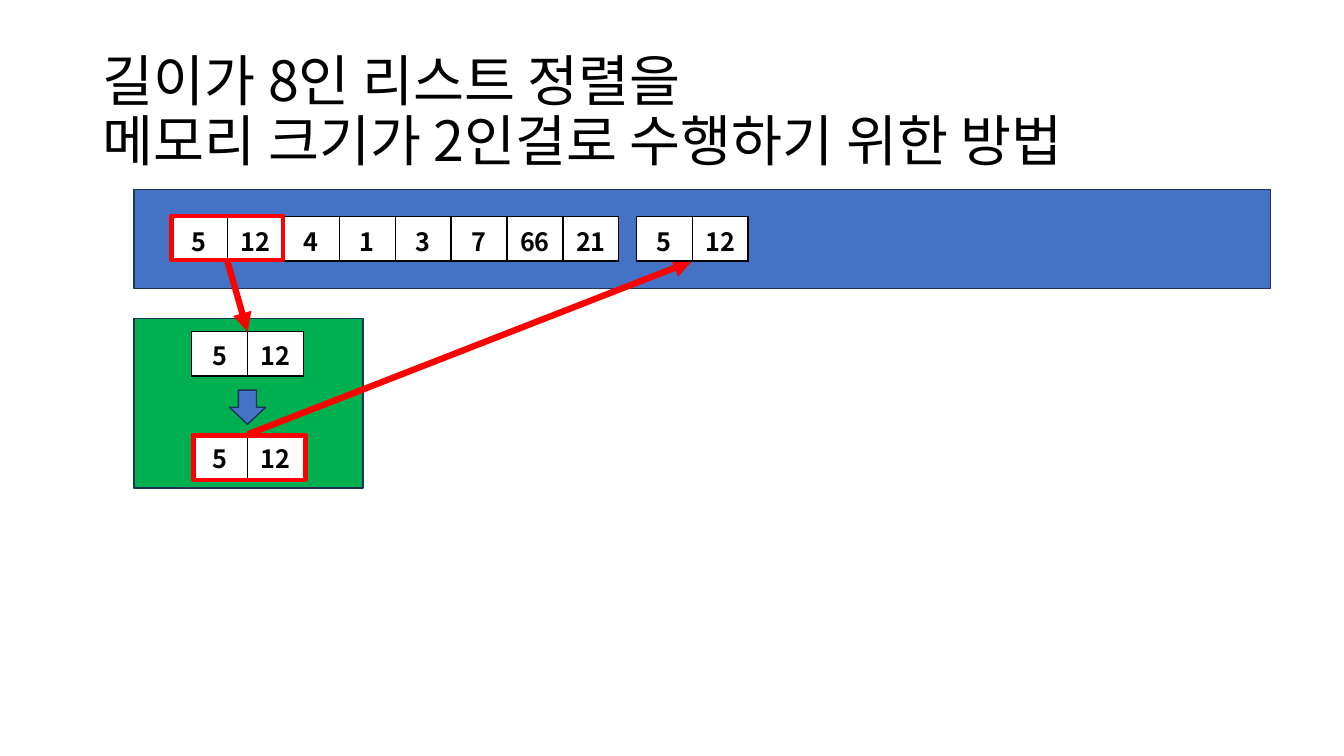
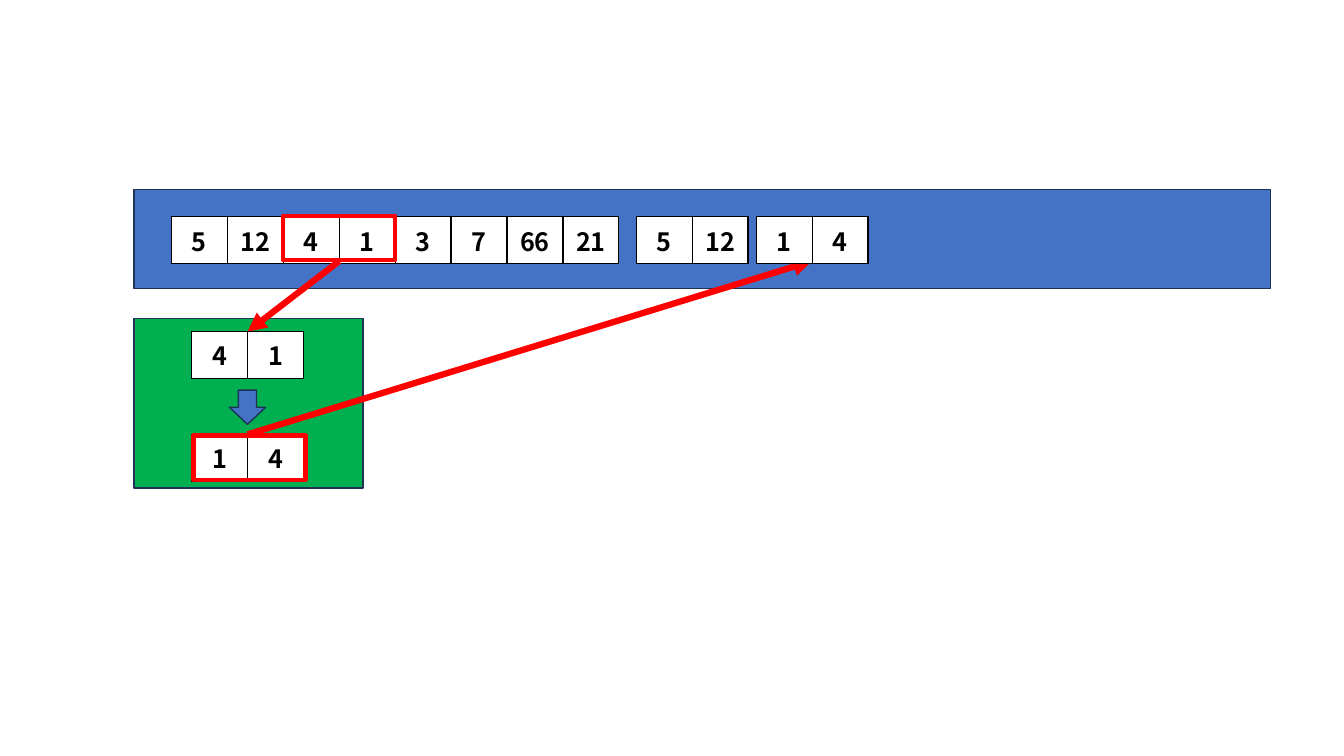
from dataclasses import dataclass

from lxml import etree
from pptx import Presentation
from pptx.dml.color import RGBColor
from pptx.enum.shapes import MSO_CONNECTOR, MSO_SHAPE
from pptx.enum.text import MSO_ANCHOR, PP_ALIGN
from pptx.oxml.ns import qn
from pptx.util import Inches, Pt

RECT = MSO_SHAPE.RECTANGLE
DOWN_ARROW = MSO_SHAPE.DOWN_ARROW
STRAIGHT = MSO_CONNECTOR.STRAIGHT
CENTER = PP_ALIGN.CENTER
MIDDLE = MSO_ANCHOR.MIDDLE


@dataclass(frozen=True)
class Theme:
    font: str = "Noto Sans CJK KR"
    text: str = "000000"
    cell: str = "FFFFFF"
    storage: str = "4472C4"
    memory: str = "00B050"
    outline: str = "1E3256"
    accent: str = "FF0000"
    title_size: float = 39.6
    cell_size: float = 18
    thin: float = 1
    frame: float = 3
    arrow: float = 4.5


T = Theme()

# Grid, in inches
SLIDE_W, SLIDE_H = 13.33, 7.5
CELL_W, CELL_H = 0.555, 0.44
BAND_LEFT = 1.33
LIST_LEFT, LIST_TOP = 1.7, 2.15
OUT_LEFT, OUT_STEP = 6.31, 1.19
MEM_LEFT, MEM_IN_TOP, MEM_OUT_TOP = 1.9, 3.29, 4.31

MEMORY_SIZE = 2
PAIR_W = MEMORY_SIZE * CELL_W
MEM_CENTER = MEM_LEFT + PAIR_W / 2
ITEMS = [5, 12, 4, 1, 3, 7, 66, 21]
TITLE = "길이가 8인 리스트 정렬을\n메모리 크기가 2인걸로 수행하기 위한 방법"


def rgb(color):
    return RGBColor.from_string(color)


def box(*lengths):
    return [Inches(v) for v in lengths]


def write(tf, text, size, bold=False, align=None, spacing=None):
    p = tf.paragraphs[0]
    p.text = text
    p.alignment = align
    p.line_spacing = spacing
    for r in p.runs:
        r.font.name = T.font
        r.font.size = Pt(size)
        r.font.bold = bold
        r.font.color.rgb = rgb(T.text)
        etree.SubElement(r.font._element, qn("a:ea"), typeface=T.font)


def add_title(s, text):
    tf = s.shapes.add_textbox(*box(0.92, 0.4, 11.5, 1.45)).text_frame
    tf.word_wrap = True
    tf.vertical_anchor = MIDDLE
    write(tf, text, T.title_size, spacing=0.9)


def add_block(s, kind, at, fill=None, line=T.outline, width=T.thin):
    sp = s.shapes.add_shape(kind, *box(*at))
    sp.shadow.inherit = False
    if fill:
        sp.fill.solid()
        sp.fill.fore_color.rgb = rgb(fill)
    else:
        sp.fill.background()
    sp.line.color.rgb = rgb(line)
    sp.line.width = Pt(width)


def add_frame(s, left, top):
    """Mark a pair of cells."""
    add_block(s, RECT, (left, top, PAIR_W, CELL_H), line=T.accent, width=T.frame)


def add_arrow(s, start, end):
    line = s.shapes.add_connector(STRAIGHT, *box(*start, *end))
    line.line.color.rgb = rgb(T.accent)
    line.line.width = Pt(T.arrow)
    spPr = line._element.spPr
    etree.SubElement(spPr.find(qn("a:ln")), qn("a:tailEnd"), type="triangle")
    etree.SubElement(spPr, qn("a:effectLst"))


def set_borders(cell):
    tcPr = cell._tc.get_or_add_tcPr()
    for side in ("lnL", "lnR", "lnT", "lnB"):
        ln = etree.SubElement(tcPr, qn(f"a:{side}"), w=str(Pt(T.thin)))
        fill = etree.SubElement(ln, qn("a:solidFill"))
        etree.SubElement(fill, qn("a:srgbClr"), val=T.text)


def add_cells(s, values, left, top):
    """Draw a list as a table of one row."""
    size = box(left, top, len(values) * CELL_W, CELL_H)
    table = s.shapes.add_table(1, len(values), *size).table
    table.first_row = table.horz_banding = False
    for column, cell, value in zip(table.columns, table.iter_cells(), values):
        column.width = Inches(CELL_W)
        set_borders(cell)
        cell.fill.solid()
        cell.fill.fore_color.rgb = rgb(T.cell)
        write(cell.text_frame, str(value), T.cell_size, bold=True, align=CENTER)


def add_step(prs, step, title=None):
    """Show one pair being read, sorted in memory and written back."""
    s = prs.slides.add_slide(prs.slide_layouts[6])
    pairs = [ITEMS[i:i + MEMORY_SIZE] for i in range(0, len(ITEMS), MEMORY_SIZE)]
    runs = [sorted(pair) for pair in pairs[:step + 1]]
    read_left = LIST_LEFT + step * PAIR_W
    write_left = OUT_LEFT + step * OUT_STEP
    cells_bottom = LIST_TOP + CELL_H

    add_block(s, RECT, (BAND_LEFT, 3.16, 2.27, 1.68), T.memory)
    add_block(s, RECT, (BAND_LEFT, 1.88, 11.27, 0.98), T.storage)
    if title:
        add_title(s, title)

    add_cells(s, ITEMS, LIST_LEFT, LIST_TOP)
    add_cells(s, pairs[step], MEM_LEFT, MEM_IN_TOP)
    add_arrow(s, (read_left + PAIR_W / 2, cells_bottom), (MEM_CENTER, MEM_IN_TOP))
    add_frame(s, read_left, LIST_TOP - 0.01)

    add_cells(s, runs[step], MEM_LEFT, MEM_OUT_TOP)
    add_block(s, DOWN_ARROW, (MEM_CENTER - 0.18, 3.87, 0.36, 0.34), T.storage)
    add_frame(s, MEM_LEFT + 0.02, MEM_OUT_TOP + 0.01)
    add_arrow(s, (MEM_CENTER, MEM_OUT_TOP), (write_left + PAIR_W / 2, cells_bottom))
    for i, run in enumerate(runs):
        add_cells(s, run, OUT_LEFT + i * OUT_STEP, LIST_TOP)


def main():
    prs = Presentation()
    prs.slide_width, prs.slide_height = box(SLIDE_W, SLIDE_H)
    add_step(prs, 0, TITLE)
    add_step(prs, 1)
    prs.save("out.pptx")


if __name__ == "__main__":
    main()
